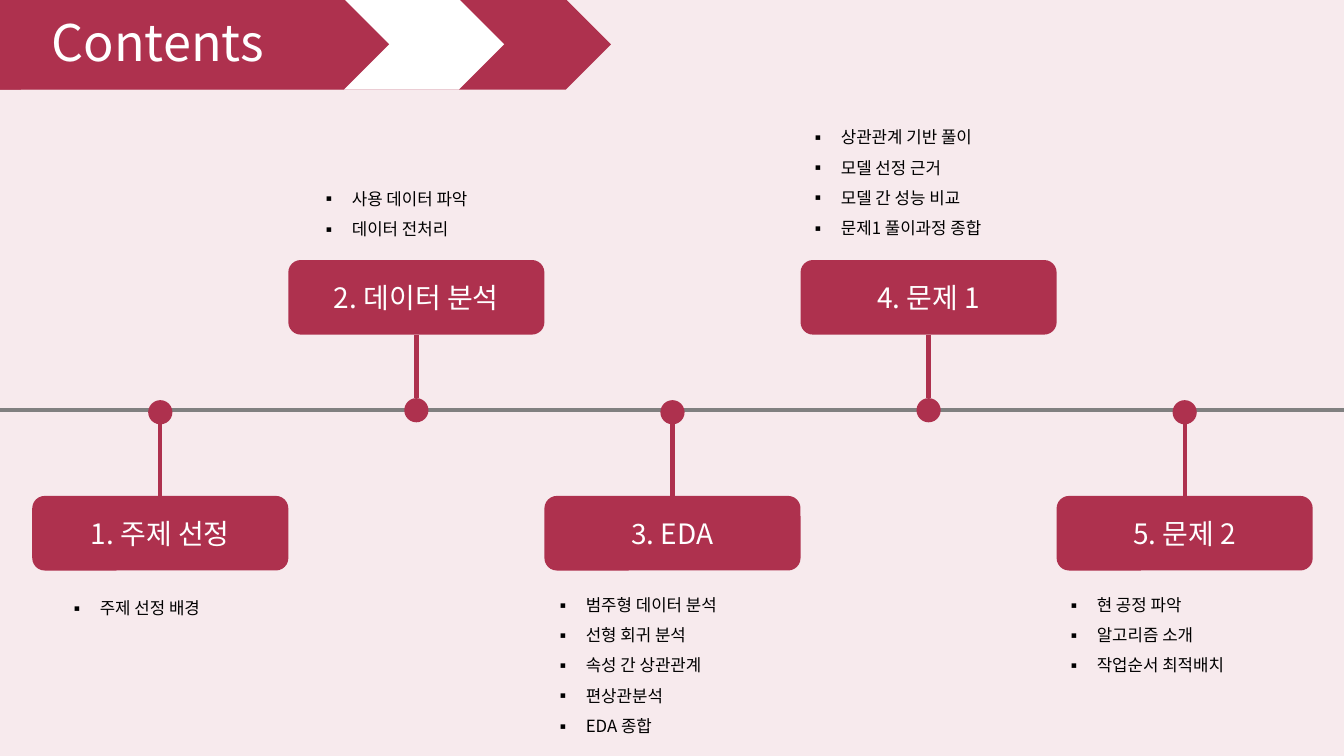
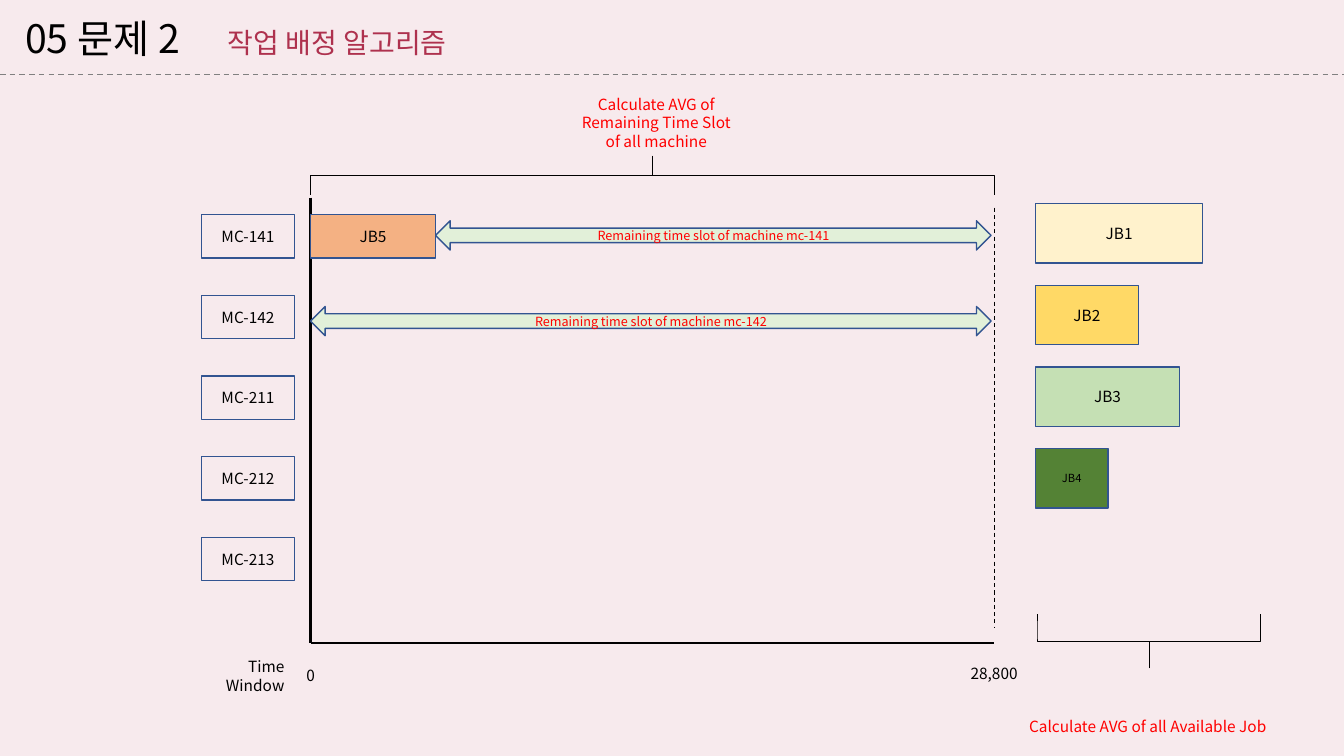
from lxml import etree
from pptx import Presentation
from pptx.dml.color import RGBColor
from pptx.enum.dml import MSO_LINE
from pptx.enum.shapes import MSO_CONNECTOR, MSO_SHAPE
from pptx.enum.text import MSO_ANCHOR, MSO_AUTO_SIZE, PP_ALIGN
from pptx.oxml.ns import qn
from pptx.util import Inches, Pt

LEFT, CENTER, RIGHT = PP_ALIGN.LEFT, PP_ALIGN.CENTER, PP_ALIGN.RIGHT
TOP, MIDDLE = MSO_ANCHOR.TOP, MSO_ANCHOR.MIDDLE
RECT, ROUND, OVAL = MSO_SHAPE.RECTANGLE, MSO_SHAPE.ROUNDED_RECTANGLE, MSO_SHAPE.OVAL
PENTAGON, BRACE = MSO_SHAPE.PENTAGON, MSO_SHAPE.RIGHT_BRACE
ARROW = MSO_SHAPE.LEFT_RIGHT_ARROW
DASH = MSO_LINE.DASH
STRAIGHT = MSO_CONNECTOR.STRAIGHT
NO_FIT = MSO_AUTO_SIZE.NONE

FONT = "Noto Sans CJK KR"
COMPARISON, TITLE_ONLY = 4, 5
COLORS = {
    "back": "F7EAED", "main": "AE314E", "white": "FFFFFF", "black": "000000",
    "gray": "808080", "navy": "325491", "red": "FF0000", "orange": "F4B183",
    "cream": "FFF2CC", "yellow": "FFD966", "green": "C5E0B4",
    "forest": "548235", "mint": "E2F0D9",
}


def rgb(name):
    return RGBColor.from_string(COLORS[name])


class Deck:
    """Hold the shared style and the slide being built."""

    def __init__(self):
        self.prs = Presentation()
        self.prs.slide_width, self.prs.slide_height = Inches(13.33), Inches(7.5)
        fill = self.prs.slide_master.background.fill
        fill.solid()
        fill.fore_color.rgb = rgb("back")

    def new_slide(self, layout):
        self.s = self.prs.slides.add_slide(self.prs.slide_layouts[layout])
        self.bodies = list(self.s.placeholders)[1:]

    def place(self, sp, box):
        sp.left, sp.top, sp.width, sp.height = map(Inches, box)

    def style(self, r, size, color):
        r.font.size, r.font.name, r.font.bold = Pt(size), FONT, False
        r.font.color.rgb = rgb(color)
        etree.SubElement(r._r.get_or_add_rPr(), qn("a:ea"), typeface=FONT)

    def set_text(self, sp, text, size, color="black", align=CENTER, anchor=MIDDLE):
        tf = sp.text_frame
        tf.text = text
        tf.word_wrap, tf.auto_size, tf.vertical_anchor = True, NO_FIT, anchor
        for p in tf.paragraphs:
            p.alignment = align
            for r in p.runs:
                self.style(r, size, color)

    def title(self, text, box, size, color, subtitle=None, tab=0):
        sp = self.s.shapes.title
        self.place(sp, box)
        self.set_text(sp, text, size, color, LEFT, TOP)
        self.s.shapes._spTree.append(sp._element)
        if subtitle:
            p = sp.text_frame.paragraphs[0]
            tabs = etree.SubElement(p._p.get_or_add_pPr(), qn("a:tabLst"))
            etree.SubElement(tabs, qn("a:tab"), pos=str(Inches(tab)), algn="l")
            r = p.add_run()
            r.text = "\t" + subtitle
            self.style(r, 20, "main")

    def bullets(self, items, box):
        sp = self.bodies.pop(0) if self.bodies else self.s.shapes.add_textbox(0, 0, 0, 0)
        self.place(sp, box)
        self.set_text(sp, "\n".join(items), 12, align=LEFT, anchor=TOP)
        for p in sp.text_frame.paragraphs:
            pPr = p._p.get_or_add_pPr()
            pPr.set("marL", str(Inches(0.31)))
            pPr.set("indent", str(-Inches(0.31)))
            etree.SubElement(pPr, qn("a:buFont"), typeface=FONT)
            etree.SubElement(pPr, qn("a:buChar"), char="▪")
            p.line_spacing, p.space_before = 1.5, Pt(0)

    def label(self, text, box, color="black", align=CENTER):
        self.set_text(self.s.shapes.add_textbox(*map(Inches, box)), text, 11, color, align)

    def shape(self, kind, box, fill=None, line=None, width=1):
        sp = self.s.shapes.add_shape(kind, *map(Inches, box))
        sp.shadow.inherit = False
        if fill:
            sp.fill.solid()
            sp.fill.fore_color.rgb = rgb(fill)
        else:
            sp.fill.background()
        if line:
            sp.line.color.rgb, sp.line.width = rgb(line), Pt(width)
        else:
            sp.line.fill.background()
        return sp

    def box(self, text, box, fill=None, size=11):
        self.set_text(self.shape(RECT, box, fill, "navy"), text, size)

    def brace(self, box, rotation):
        sp = self.shape(BRACE, box, line="black", width=0.5)
        sp.adjustments[0], sp.adjustments[1] = 0, 0.5
        sp.rotation = rotation

    def line(self, start, end, color, width, dash=None):
        c = self.s.shapes.add_connector(STRAIGHT, *map(Inches, start + end))
        c.line.color.rgb, c.line.width = rgb(color), Pt(width)
        if dash:
            c.line.dash_style = dash
        etree.SubElement(c._element.spPr, qn("a:effectLst"))


def contents(deck):
    deck.new_slide(COMPARISON)
    deck.line((0, 4.07), (13.33, 4.07), "gray", 3)
    for x, width, fill in [(0, 6.06, "main"), (0.21, 4.79, "white"), (0, 3.86, "main")]:
        deck.shape(PENTAGON, (x, -0.01, width, 0.9), fill)
    deck.title("Contents", (0.41, 0.06, 2.44, 0.71), 36, "white")

    steps = [
        ("1. 주제 선정", (0.58, 5.78, 2.02, 0.72), ["주제 선정 배경"]),
        ("2. 데이터 분석", (3.08, 1.72, 2.32, 0.67), ["사용 데이터 파악", "데이터 전처리"]),
        ("3. EDA", (5.4, 5.75, 2.53, 1.93),
         ["범주형 데이터 분석", "선형 회귀 분석", "속성 간 상관관계", "편상관분석", "EDA 종합"]),
        ("4. 문제 1", (7.93, 1.11, 2.54, 1.28),
         ["상관관계 기반 풀이", "모델 선정 근거", "모델 간 성능 비교", "문제1 풀이과정 종합"]),
        ("5. 문제 2", (10.47, 5.75, 2.53, 1.32),
         ["현 공정 파악", "알고리즘 소개", "작업순서 최적배치"]),
    ]
    card_w, card_h, dot = 2.54, 0.74, 0.24
    for i, (name, list_box, items) in enumerate(steps):
        x = 0.32 + i * card_w
        mid = x + card_w / 2
        above = i % 2 == 1
        card_y, dot_y = (2.58, 3.95) if above else (4.92, 3.97)
        ends = (card_y + card_h, dot_y) if above else (dot_y + dot, card_y)
        deck.line((mid, ends[0]), (mid, ends[1]), "main", 3)
        deck.shape(OVAL, (mid - dot / 2, dot_y, dot, dot), "main")
        card = deck.shape(ROUND, (x, card_y, card_w, card_h), "main")
        deck.set_text(card, name, 20, "white")
        deck.bullets(items, list_box)


def job_assignment(deck):
    deck.new_slide(TITLE_ONLY)
    deck.line((0, 0.74), (13.33, 0.74), "gray", 1, DASH)
    deck.title("05 문제 2", (0.15, 0.09, 9.03, 0.57), 28, "black", "작업 배정 알고리즘", 2.01)

    start, end = 3.08, 9.86
    deck.line((start, 1.96), (start, 6.38), "black", 1.5)
    deck.line((start, 6.38), (end, 6.38), "black", 1.5)
    for i, machine in enumerate(["MC-141", "MC-142", "MC-211", "MC-212", "MC-213"]):
        deck.box(machine, (2, 2.13 + 0.8 * i, 0.92, 0.43))
    deck.label("Time Window", (2.1, 6.49, 0.82, 0.43), align=RIGHT)
    deck.label("0", (2.87, 6.49, 0.42, 0.43))
    deck.label("28,800", (9.45, 6.47, 0.82, 0.43))

    deck.box("JB5", (start, 2.13, 1.24, 0.43), "orange")
    jobs = [
        ("JB1", 1.66, "cream", 11), ("JB2", 1.02, "yellow", 11),
        ("JB3", 1.43, "green", 11), ("JB4", 0.72, "forest", 8),
    ]
    for i, (job, width, fill, size) in enumerate(jobs):
        deck.box(job, (10.27, 2.02 + 0.81 * i, width, 0.59), fill, size)

    deck.brace((11.13, 5.25, 0.53, 2.22), 90)
    deck.label("Calculate AVG of all Available Job", (9.86, 6.91, 3.05, 0.59), "red")
    deck.brace((6.28, -1.65, 0.38, 6.78), 270)
    deck.label("Calculate AVG of Remaining Time Slot of all machine", (5.66, 1, 1.7, 0.43), "red")

    for machine, x, y in [("mc-142", start, 3.04), ("mc-141", 4.32, 2.19)]:
        arrow = deck.shape(ARROW, (x, y, 9.83 - x, 0.29), "mint", "navy")
        deck.set_text(arrow, f"Remaining time slot of machine {machine}", 9, "red")
    deck.line((end, 2.06), (end, 6.23), "black", 0.75, DASH)


def main():
    deck = Deck()
    contents(deck)
    job_assignment(deck)
    deck.prs.save("out.pptx")


if __name__ == "__main__":
    main()
